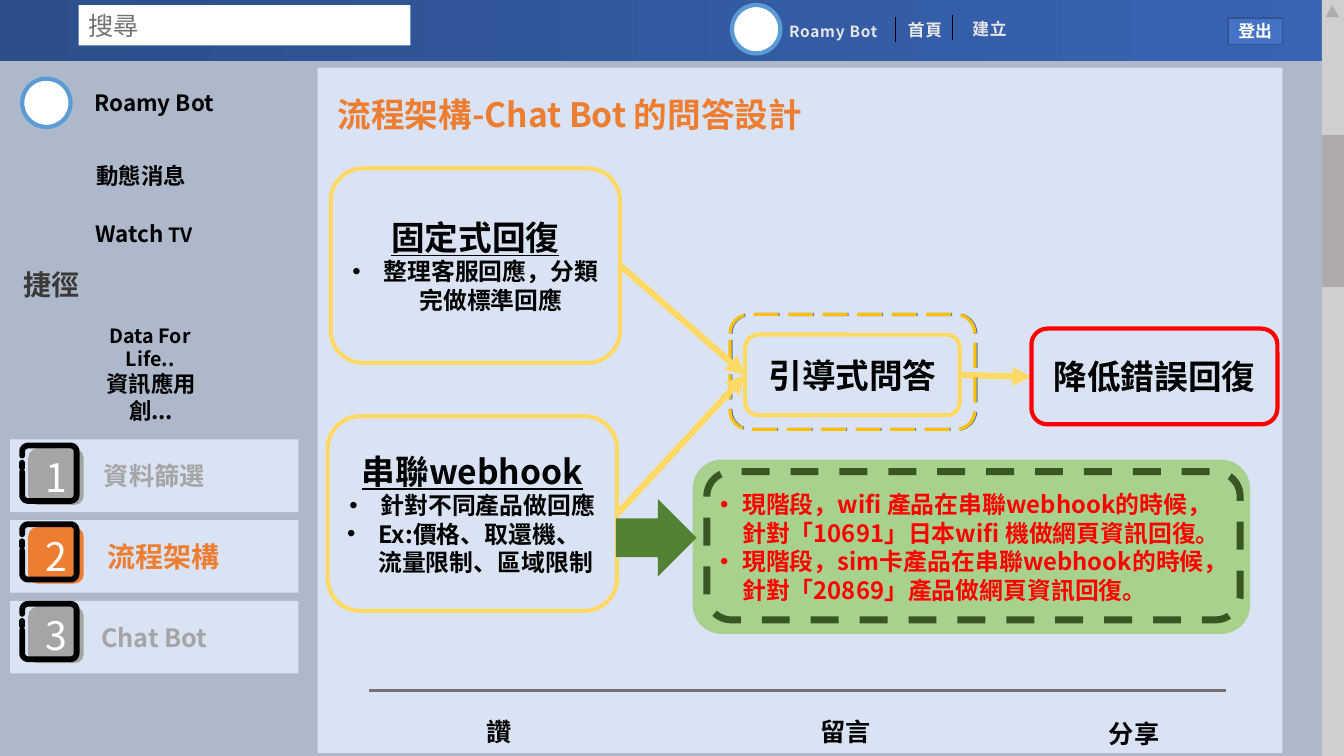
from math import cos, radians, sin

from lxml.etree import SubElement
from pptx import Presentation
from pptx.dml.color import RGBColor
from pptx.enum.dml import MSO_LINE
from pptx.enum.shapes import MSO_CONNECTOR, MSO_SHAPE
from pptx.enum.text import MSO_ANCHOR, PP_ALIGN
from pptx.oxml.ns import qn
from pptx.util import Pt

RECT, ROUND, OVAL = MSO_SHAPE.RECTANGLE, MSO_SHAPE.ROUNDED_RECTANGLE, MSO_SHAPE.OVAL
ARROW, PEAK = MSO_SHAPE.RIGHT_ARROW, MSO_SHAPE.ISOSCELES_TRIANGLE
DASH, LONG = MSO_LINE.DASH, MSO_LINE.LONG_DASH
LEFT, MID = PP_ALIGN.LEFT, PP_ALIGN.CENTER
TOP, HALF = MSO_ANCHOR.TOP, MSO_ANCHOR.MIDDLE
SANS = "Noto Sans CJK SC"
PX = 9144
BLACK, WHITE, RED = "000000", "FFFFFF", "FF0000"
GOLD, PALE, GRAY, HOT = "FFD966", "DAE3F3", "A5A5A5", "ED7D31"
PALER = "E7E6E6"
BOT = "Roamy Bot"

LABELS = [
    ((764, 0, 125, 62), BOT, 11, PALER, MID, 50),
    ((888, 0, 59, 60), "首頁", 12, PALER, MID, 50),
    ((952, 0, 59, 58), "建立", 12, PALER, MID, 50),
    ((84, 66, 202, 72), BOT, 16, BLACK, LEFT, 0),
    ((86, 138, 130, 72), "動態消息", 16, BLACK, LEFT, 0),
    ((13, 246, 202, 72), "捷徑", 20, "3B3838", LEFT, 0),
    ((77, 324, 144, 41), "Data For Life..", 14, BLACK, MID, 0),
    ((75, 373, 150, 41), "資訊應用創...", 16, BLACK, MID, 0),
    ((473, 701, 43, 49), "讚", 18, BLACK, LEFT, 0),
    ((804, 701, 81, 49), "留言", 18, BLACK, LEFT, 0),
    ((1090, 705, 81, 45), "分享", 18, BLACK, LEFT, 0),
    ((325, 88, 555, 50), "流程架構-Chat Bot 的問答設計", 24, HOT, LEFT, 0),
]
STEPS = [
    ("資料篩選", 18, GRAY, 436, 442, 10),
    ("流程架構", 20, HOT, 516, 520, 28),
    ("Chat Bot", 18, GRAY, 596, 599, 10),
]
FLOW = [
    ((328, 167, 287, 193), GOLD, "固定式回復", True,
     [("整理客服回應，分類完做標準回應", MID)]),
    ((739, 332, 213, 80), GOLD, "引導式問答", False, []),
    ((1023, 326, 244, 95), RED, "降低錯誤回復", False, []),
    ((325, 413, 287, 193), GOLD, "串聯webhook", True,
     [("針對不同產品做回應", MID), ("Ex:價格、取還機、流量限制、區域限制", LEFT)]),
]
NOTES = [
    "現階段，wifi 產品在串聯webhook的時候，針對「10691」日本wifi 機做網頁資訊回復。",
    "現階段，sim卡產品在串聯webhook的時候，針對「20869」產品做網頁資訊回復。",
]
LINKS = [(952, 372, 1023, 374), (616, 264, 739, 372), (613, 509, 739, 372)]
RULES = [(888, 17, 888, 42, BLACK, 0.5), (945, 15, 945, 40, BLACK, 0.5),
         (366, 685, 1216, 685, "767171", 2)]

deck = Presentation()
deck.slide_width, deck.slide_height = 1333 * PX, 750 * PX
slide = deck.slides.add_slide(deck.slide_layouts[6])
shapes = slide.shapes


def rgb(code):
    return RGBColor.from_string(code)


def paint(item, fill, line, width, dash=None):
    item.shadow.inherit = False
    if fill:
        item.fill.solid()
        item.fill.fore_color.rgb = rgb(fill)
    else:
        item.fill.background()
    if line:
        item.line.color.rgb = rgb(line)
        item.line.width = Pt(width)
        item.line.dash_style = dash
    else:
        item.line.fill.background()


def form(kind, box, fill=None, line=None, width=1, dash=None):
    item = shapes.add_shape(kind, *(n * PX for n in box))
    paint(item, fill, line, width, dash)
    return item


def frame(item, anchor=HALF, inset=10):
    body = item.text_frame
    body.word_wrap = True
    body.vertical_anchor = anchor
    body.margin_left = inset * PX
    return body


def write(body, text, size, color, align=MID, bold=True, font=SANS,
          under=False, bullet=None, space=0):
    para = body.paragraphs[0]
    if para.runs:
        para = body.add_paragraph()
    para.alignment = align
    para.add_run().text = text
    props = para._p.get_or_add_pPr()
    if bullet:
        props.set("marL", str(31 * PX))
        props.set("indent", str(-bullet * PX))
        SubElement(props, qn("a:buFont"), typeface="Arial")
        SubElement(props, qn("a:buChar"), char="•")
    style = para.font
    style.size, style.bold, style.name = Pt(size), bold, font
    style.underline = under
    style.color.rgb = rgb(color)
    base = props.find(qn("a:defRPr"))
    SubElement(base, qn("a:ea"), typeface=font)
    if space:
        base.set("spc", str(space))
    return para


def link(x1, y1, x2, y2, color, width, head=False):
    item = shapes.add_connector(MSO_CONNECTOR.STRAIGHT, x1 * PX, y1 * PX, x2 * PX, y2 * PX)
    item.line.color.rgb = rgb(color)
    item.line.width = Pt(width)
    props = item.element.spPr
    if head:
        SubElement(props.find(qn("a:ln")), qn("a:tailEnd"), type="triangle")
    SubElement(props, qn("a:effectLst"))
    return item


def cap(item):
    item.element.spPr.find(qn("a:ln")).set("cap", "rnd")


def badge(top, digit, color):
    tile = form(ROUND, (28, top + 3, 55, 56), color)
    write(frame(tile), digit, 28, WHITE, bold=False)
    dots = [(22, top + 10)]
    for x, y, start in ((28, 6, 180), (70, 6, 270), (70, 49, 0), (28, 49, 90)):
        for step in range(0, 91, 15):
            turn = radians(start + step)
            dots.append((x + 6 * cos(turn), top + y + 6 * sin(turn)))
    dots.append((22, top + 26))
    points = [(round(x * PX), round(y * PX)) for x, y in dots]
    pen = shapes.build_freeform(*points[0])
    pen.add_line_segments(points[1:], close=False)
    edge = pen.convert_to_shape()
    paint(edge, None, BLACK, 4.13)
    cap(edge)
    cap(link(22, top + 22, 22, top + 17, BLACK, 4.13))


form(RECT, (0, 0, 1333, 750), "ADB9CA")
bar = form(RECT, (0, 0, 1333, 61))
bar.fill.gradient()
bar.fill.gradient_angle = 0
for stop, tone in zip(bar.fill.gradient_stops, ("2C4F8C", "3864B3")):
    stop.color.rgb = rgb(tone)
find = form(RECT, (78, 5, 329, 40), WHITE)
write(frame(find), "搜尋", 18, "767171", LEFT, False, "Calibri")
for x, y in ((726, 5), (22, 78)):
    form(OVAL, (x, y, 48, 48), WHITE, "5B9BD5", 3)
form(RECT, (315, 67, 957, 680), PALE)
form(RECT, (1311, 0, 22, 750), "D0CECE")
form(PEAK, (1315, 5, 13, 12), "AFABAB")
form(RECT, (1311, 134, 22, 151), "AFABAB")
exit_key = form(RECT, (1218, 18, 54, 26), "4472C4", "325491")
write(frame(exit_key), "登出", 12, WHITE)
for *ends, color, width in RULES:
    link(*ends, color, width)

for box, text, size, color, align, space in LABELS:
    label = shapes.add_textbox(*(n * PX for n in box))
    anchor = TOP if size == 24 else HALF
    write(frame(label, anchor), text, size, color, align, space=space)
watch = shapes.add_textbox(78 * PX, 215 * PX, 130 * PX, 33 * PX)
tail = write(frame(watch), "Watch", 16, BLACK).add_run()
tail.text = " TV"
tail.font.size = Pt(14)

for count, (text, size, color, row, top, inset) in enumerate(STEPS, 1):
    strip = form(RECT, (10, row, 286, 72), PALE)
    write(frame(strip, inset=inset), text, size, color)
    badge(top, str(count), color)

panel = frame(form(ROUND, (687, 456, 553, 173), "A9D18E"))
for text in NOTES:
    write(panel, text, 17, RED, LEFT, bullet=22)
link(*LINKS[0], GOLD, 4.5, True)
for x, color in ((725, "4472C4"), (724, "FFC000")):
    form(ROUND, (x, 312, 243, 114), None, color, 2.25, LONG)
for box, color, title, under, points in FLOW:
    body = frame(form(ROUND, box, None, color, 3))
    write(body, title, 24, BLACK, under=under)
    for text, align in points:
        write(body, text, 17, BLACK, align, bullet=31)
for ends in LINKS[1:]:
    link(*ends, GOLD, 4.5, True)
form(ARROW, (611, 495, 80, 77), "548235")
form(ROUND, (701, 468, 529, 147), None, "385723", 5, DASH)

deck.save("out.pptx")
